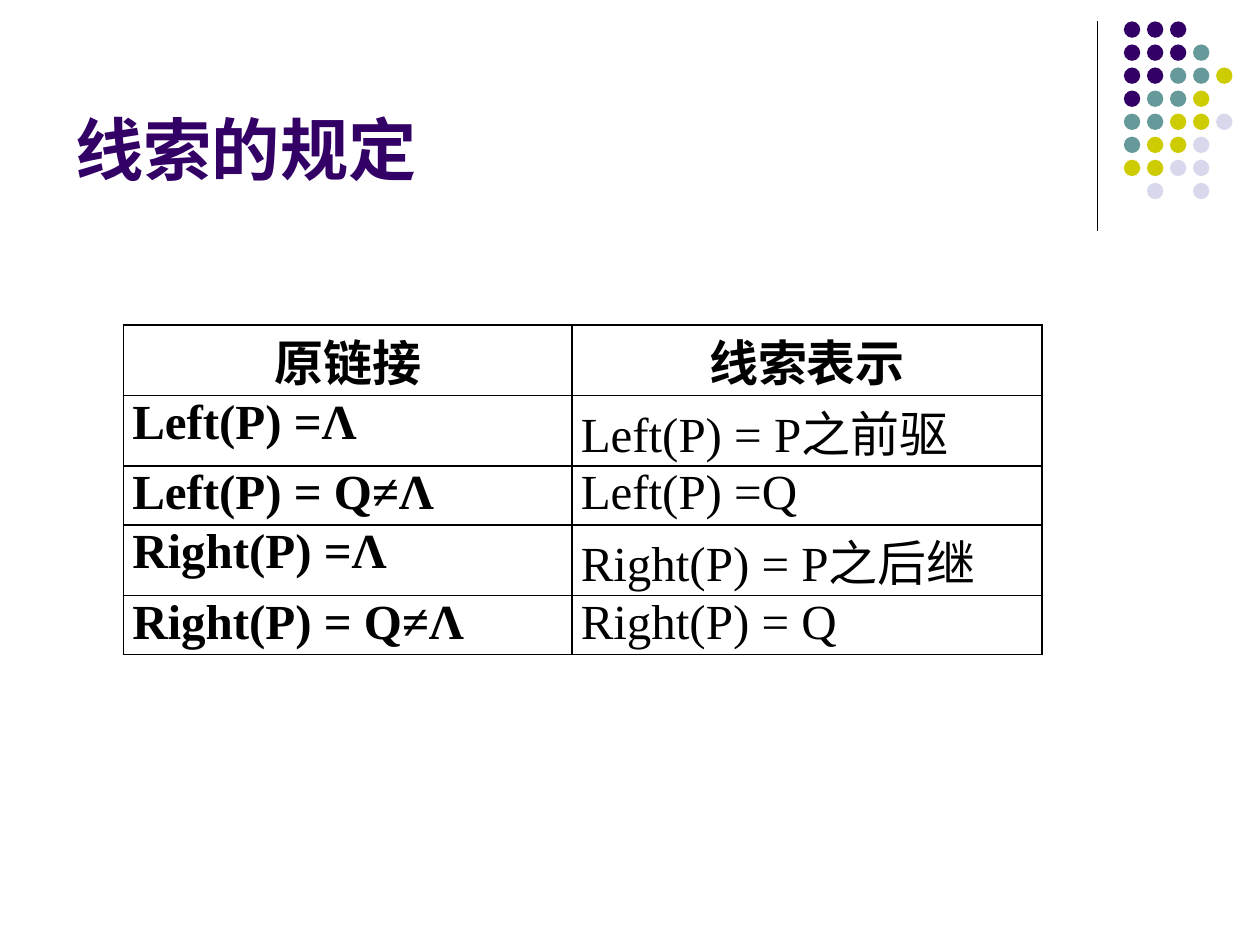
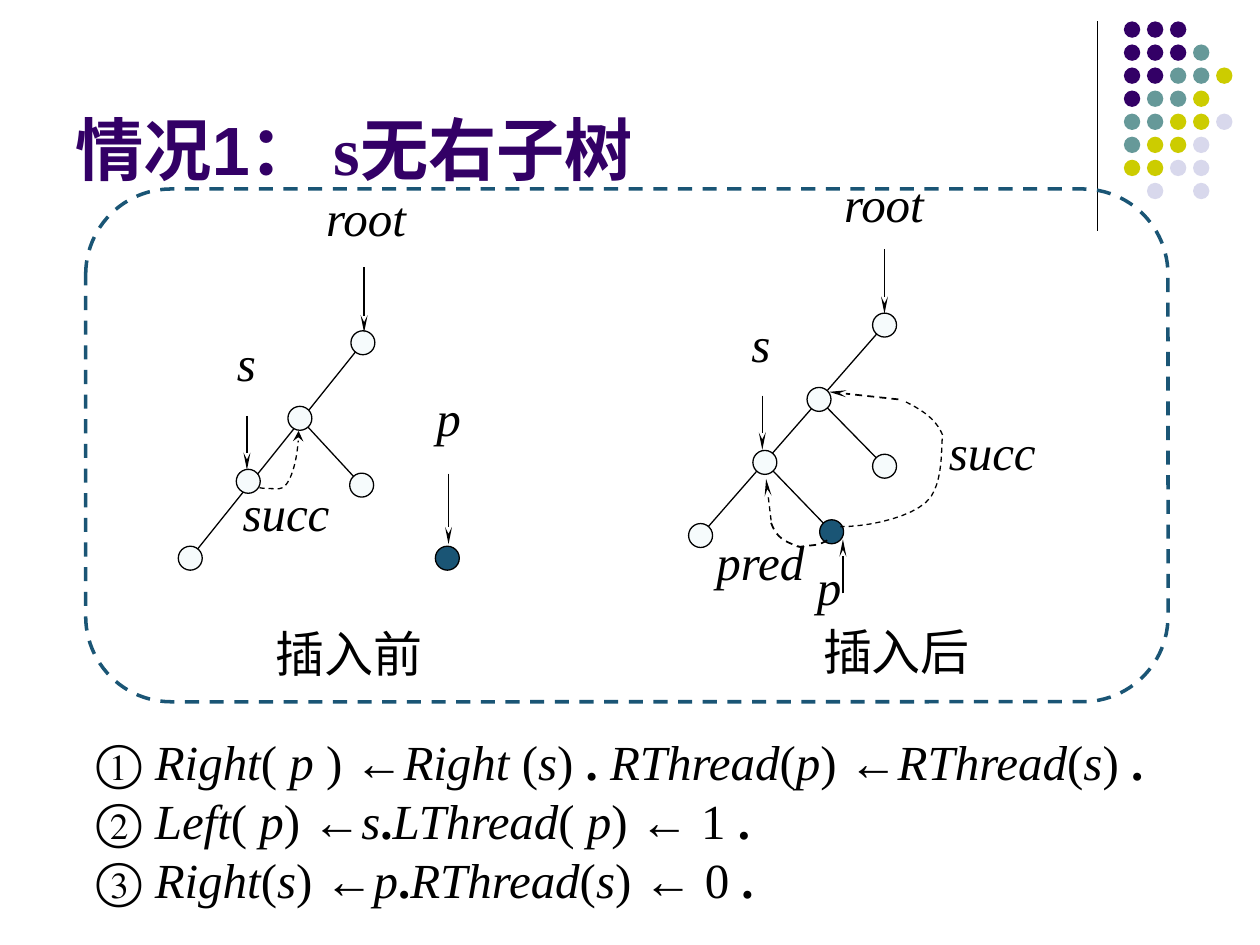
"""Builds two slides on threaded binary trees: link rules and insertion case 1."""
from dataclasses import dataclass

from lxml import etree
from pptx import Presentation
from pptx import util as u
from pptx.dml.color import RGBColor
from pptx.enum import dml, shapes, text
from pptx.oxml.ns import qn


@dataclass(frozen=True)
class Theme:
    purple: str = "330066"
    teal: str = "669999"
    lime: str = "CCCC00"
    lilac: str = "D8D8EC"
    ink: str = "000000"
    pale: str = "F6FBFC"
    navy: str = "1A5575"
    sans: str = "Arial"
    serif: str = "Times New Roman"
    title_size: float = 39
    body_size: float = 28
    thin: float = 0.75


T = Theme()
CENTER, JUSTIFY = text.PP_ALIGN.CENTER, text.PP_ALIGN.JUSTIFY

DOT_ROWS = ["PPP", "PPPT", "PPTTY", "PTTY", "TTYYL", "TYYL", "YYLL", " L L"]
DOT_COLORS = {"P": T.purple, "T": T.teal, "Y": T.lime, "L": T.lilac}
DOT_LEFT, DOT_TOP, DOT_PITCH, DOT_SIZE = 8.92, 0.17, 0.183, 0.13

RULES_TITLE = [("线索的规定", T.sans)]
RULES = [
    ("原链接", "线索表示"),
    ("Left(P) =Λ", "Left(P) = P之前驱"),
    ("Left(P) = Q≠Λ", "Left(P) =Q"),
    ("Right(P) =Λ", "Right(P) = P之后继"),
    ("Right(P) = Q≠Λ", "Right(P) = Q"),
]
RULE_WIDTHS, RULE_HEIGHTS = (3.56, 3.73), (0.56, 0.56, 0.43, 0.56, 0.43)

CASE_TITLE = [("情况1： ", T.sans), ("s无右子树", T.serif)]
NODE_SIZE = 0.19
TREES = [
    {
        "nodes": {"root": (2.88, 2.72), "parent": (2.38, 3.32), "s": (1.97, 3.82),
                  "leaf": (1.51, 4.43), "right": (2.87, 3.85), "p": (3.55, 4.43)},
        "edges": [("root", "leaf"), ("parent", "right")],
        "pointers": [((3.56, 3.76), (3.56, 4.32)), ((2.89, 2.12), (2.89, 2.64)),
                     ((1.96, 3.3), (1.96, 3.73))],
        "labels": [("succ", 1.92, 4.17, 0.7, 0.29), ("s", 1.84, 2.98, 0.23, 0.25),
                   ("p", 3.28, 3.42, 0.56, 0.29), ("root", 2.2, 1.83, 1.41, 0.29)],
        "caption": ("插入前", 2.03, 5.28, 1.48, 0.33),
        "thread_tips": [],
        "threads": [],
    },
    {
        "nodes": {"root": (7.02, 2.58), "parent": (6.5, 3.17), "s": (6.07, 3.67),
                  "leaf": (5.56, 4.25), "right": (7.02, 3.7), "p": (6.6, 4.22)},
        "edges": [("root", "leaf"), ("parent", "right"), ("s", "p")],
        "pointers": [((7.02, 1.98), (7.02, 2.49)), ((6.05, 3.14), (6.05, 3.57)),
                     ((6.69, 4.71), (6.69, 4.28))],
        "labels": [("p", 6.29, 4.76, 0.58, 0.3), ("succ", 7.53, 3.69, 0.69, 0.13),
                   ("pred", 5.65, 4.56, 0.77, 0.28), ("s", 5.87, 2.83, 0.34, 0.26),
                   ("root", 6.59, 1.72, 0.85, 0.28)],
        "caption": ("插入后", 6.41, 5.26, 1.41, 0.54),
        "thread_tips": [((6.12, 4.13), (6.08, 3.8), 0.75), ((7.13, 3.17), (6.58, 3.11), 1)],
        "threads": [
            (1, [(6.12, 4.15), (6.16, 4.26), (6.22, 4.3), (6.35, 4.34), (6.4, 4.33),
                 (6.45, 4.33), (6.5, 4.32), (6.53, 4.31), (6.58, 4.28), (6.58, 4.28)]),
            (0.75, [(7.19, 3.19), (7.33, 3.26), (7.43, 3.33), (7.48, 3.45), (7.47, 3.59),
                    (7.48, 3.8), (7.39, 3.94), (7.28, 4.1), (6.9, 4.18), (6.67, 4.18)]),
        ],
    },
]
STEPS = [
    [("①", ""), (" Right", "i"), ("( ", ""), ("p", "i"), (" ) ←", ""), ("Right", "i"),
     (" (", ""), ("s", "i"), (") ", ""), (". ", "b"), ("RThread", "i"), ("(", ""),
     ("p", "i"), (") ←", ""), ("RThread", "i"), ("(", ""), ("s", "i"), (") ", ""), (".", "b")],
    [("② ", ""), ("Left", "i"), ("( ", ""), ("p", "i"), (") ←", ""), ("s", "i"), (".", "b"),
     ("LThread", "i"), ("( ", ""), ("p", "i"), (") ← 1 ", ""), (". ", "b")],
    [("③ ", ""), ("Right", "i"), ("(", ""), ("s", "i"), (") ←", ""), ("p", "i"), (".", "b"),
     ("RThread", "i"), ("(", ""), ("s", "i"), (") ← 0 ", ""), (".", "b")],
]


def inches(*values):
    return [u.Inches(value) for value in values]


def add_run(paragraph, words, style="", font=T.serif, size=T.body_size, color=T.ink):
    run = paragraph.add_run()
    run.text = words
    run.font.name, run.font.size = font, u.Pt(size)
    run.font.bold, run.font.italic = "b" in style, "i" in style
    run.font.color.rgb = RGBColor.from_string(color)


def set_line(line, color=T.ink, width=T.thin, dashed=False):
    line.color.rgb = RGBColor.from_string(color)
    line.width = u.Pt(width)
    if dashed:
        line.dash_style = dml.MSO_LINE.DASH


def add_outline(slide, kind, box, fill=None, line=None):
    outline = slide.shapes.add_shape(kind, *inches(*box))
    outline.shadow.inherit = False
    if fill:
        outline.fill.solid()
        outline.fill.fore_color.rgb = RGBColor.from_string(fill)
    else:
        outline.fill.background()
    if line:
        set_line(outline.line, **line)
    else:
        outline.line.fill.background()


def add_line(slide, start, end, width=T.thin, dashed=False, head=None,
             kind=shapes.MSO_CONNECTOR.STRAIGHT):
    link = slide.shapes.add_connector(kind, *inches(*start, *end))
    set_line(link.line, width=width, dashed=dashed)
    if head:
        etree.SubElement(link.line._get_or_add_ln(), qn("a:tailEnd"),
                         type="stealth", w=head[0], len=head[1])
    etree.SubElement(link._element.spPr, qn("a:effectLst"))
    return link


def add_label(slide, words, left, top, width, height, style="i", spacing=9):
    frame = slide.shapes.add_textbox(*inches(left, top, width, height)).text_frame
    frame.word_wrap = False
    frame.margin_left = frame.margin_top = frame.margin_right = frame.margin_bottom = 0
    paragraph = frame.paragraphs[0]
    paragraph.alignment, paragraph.line_spacing = CENTER, u.Pt(spacing)
    add_run(paragraph, words, style)


def add_thread(slide, width, controls, steps=10):
    points = []
    for first in range(0, len(controls) - 1, 3):
        a, b, c, d = controls[first:first + 4]
        for step in range(1, steps + 1):
            t = step / steps
            weights = ((1 - t) ** 3, 3 * t * (1 - t) ** 2, 3 * t * t * (1 - t), t ** 3)
            points.append(inches(*(sum(w * v for w, v in zip(weights, axis))
                                   for axis in zip(a, b, c, d))))
    builder = slide.shapes.build_freeform(*inches(*controls[0]), scale=1.0)
    builder.add_line_segments(points, close=False)
    curve = builder.convert_to_shape()
    curve.shadow.inherit = False
    curve.fill.background()
    set_line(curve.line, width=width, dashed=True)


def add_curved_succ(slide):
    link = add_line(slide, (1.99, 3.49), (2.44, 3.8), dashed=True, head=("med", "med"),
                    kind=shapes.MSO_CONNECTOR.CURVE)
    properties = link._element.spPr
    properties.find(qn("a:xfrm")).set("rot", str(270 * 60000))
    geometry = properties.find(qn("a:prstGeom"))
    adjustments = geometry.find(qn("a:avLst"))
    if adjustments is None:
        adjustments = etree.SubElement(geometry, qn("a:avLst"))
    etree.SubElement(adjustments, qn("a:gd"), name="adj1", fmla="val -2000")


def add_tree(slide, tree):
    nodes = tree["nodes"]
    for start, end in tree["edges"]:
        add_line(slide, nodes[start], nodes[end])
    for name, (x, y) in nodes.items():
        box = (x - NODE_SIZE / 2, y - NODE_SIZE / 2, NODE_SIZE, NODE_SIZE)
        add_outline(slide, shapes.MSO_SHAPE.OVAL, box,
                    T.navy if name == "p" else T.pale, {"color": T.ink})
    for start, end in tree["pointers"]:
        add_line(slide, start, end, head=("sm", "lg"))
    for start, end, width in tree["thread_tips"]:
        add_line(slide, start, end, width, dashed=True, head=("sm", "lg"))
    for width, controls in tree["threads"]:
        add_thread(slide, width, controls)
    for label in tree["labels"]:
        add_label(slide, *label)
    add_label(slide, *tree["caption"], style="", spacing=10)


def add_page(deck, title):
    slide = deck.slides.add_slide(deck.slide_layouts[6])
    add_line(slide, (8.71, 0.17), (8.71, 1.83))
    for row, codes in enumerate(DOT_ROWS):
        for column, code in enumerate(codes):
            if code in DOT_COLORS:
                box = (DOT_LEFT + column * DOT_PITCH, DOT_TOP + row * DOT_PITCH,
                       DOT_SIZE, DOT_SIZE)
                add_outline(slide, shapes.MSO_SHAPE.OVAL, box, DOT_COLORS[code])
    frame = slide.shapes.add_textbox(*inches(0.5, 0.13, 8.25, 1.42)).text_frame
    frame.word_wrap = True
    frame.vertical_anchor = text.MSO_ANCHOR.BOTTOM
    for words, font in title:
        add_run(frame.paragraphs[0], words, "b", font, T.title_size, T.purple)
    return slide


def add_borders(cell):
    properties = cell._tc.get_or_add_tcPr()
    for position, side in enumerate(("lnL", "lnR", "lnT", "lnB")):
        border = etree.Element(qn("a:" + side), w=str(u.Pt(1)))
        fill = etree.SubElement(border, qn("a:solidFill"))
        etree.SubElement(fill, qn("a:srgbClr"), val=T.ink)
        properties.insert(position, border)


def add_rules(slide):
    box = inches(0.98, 2.58, sum(RULE_WIDTHS), sum(RULE_HEIGHTS))
    rules = slide.shapes.add_table(len(RULES), len(RULE_WIDTHS), *box).table
    rules.horz_banding = False
    for column, width in zip(rules.columns, RULE_WIDTHS):
        column.width = u.Inches(width)
    for row, (entries, height) in enumerate(zip(RULES, RULE_HEIGHTS)):
        rules.rows[row].height = u.Inches(height)
        for column, words in enumerate(entries):
            cell = rules.cell(row, column)
            cell.fill.background()
            cell.margin_left = cell.margin_right = u.Inches(0.07)
            cell.margin_top = cell.margin_bottom = 0
            paragraph = cell.text_frame.paragraphs[0]
            paragraph.alignment = JUSTIFY if row else CENTER
            add_run(paragraph, words, "" if row and column else "b")
            add_borders(cell)


def add_steps(slide):
    frame = slide.shapes.add_textbox(*inches(0.67, 5.76, 9.19, 1.51)).text_frame
    frame.word_wrap = True
    for index, step in enumerate(STEPS):
        paragraph = frame.add_paragraph() if index else frame.paragraphs[0]
        for words, style in step:
            add_run(paragraph, words, style)


def main():
    deck = Presentation()
    deck.slide_width, deck.slide_height = inches(10, 7.5)
    add_rules(add_page(deck, RULES_TITLE))
    case = add_page(deck, CASE_TITLE)
    add_outline(case, shapes.MSO_SHAPE.ROUNDED_RECTANGLE, (0.68, 1.5, 8.59, 4.07),
                line={"color": T.navy, "width": 2, "dashed": True})
    for tree in TREES:
        add_tree(case, tree)
    add_curved_succ(case)
    add_steps(case)
    deck.save("out.pptx")


main()
